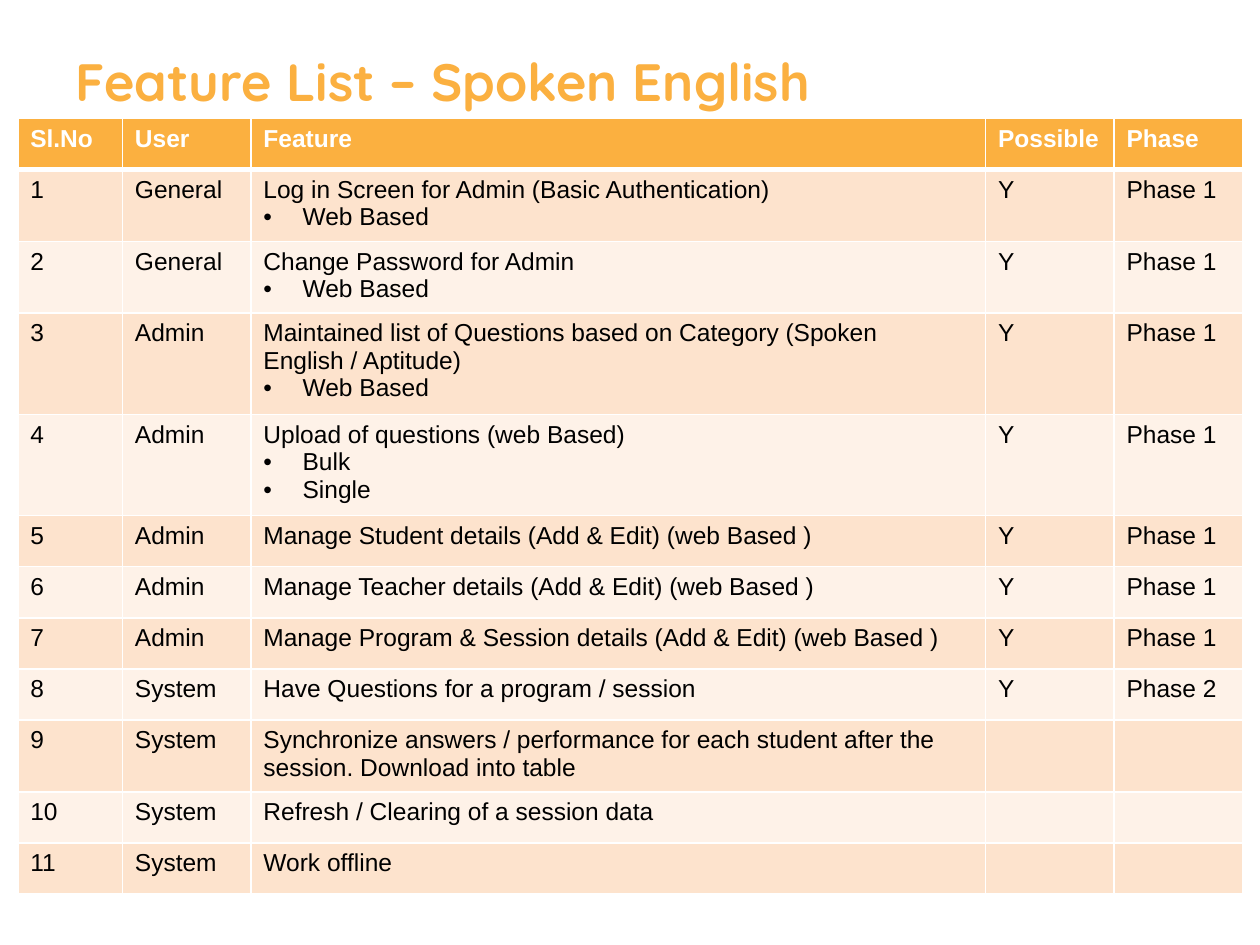
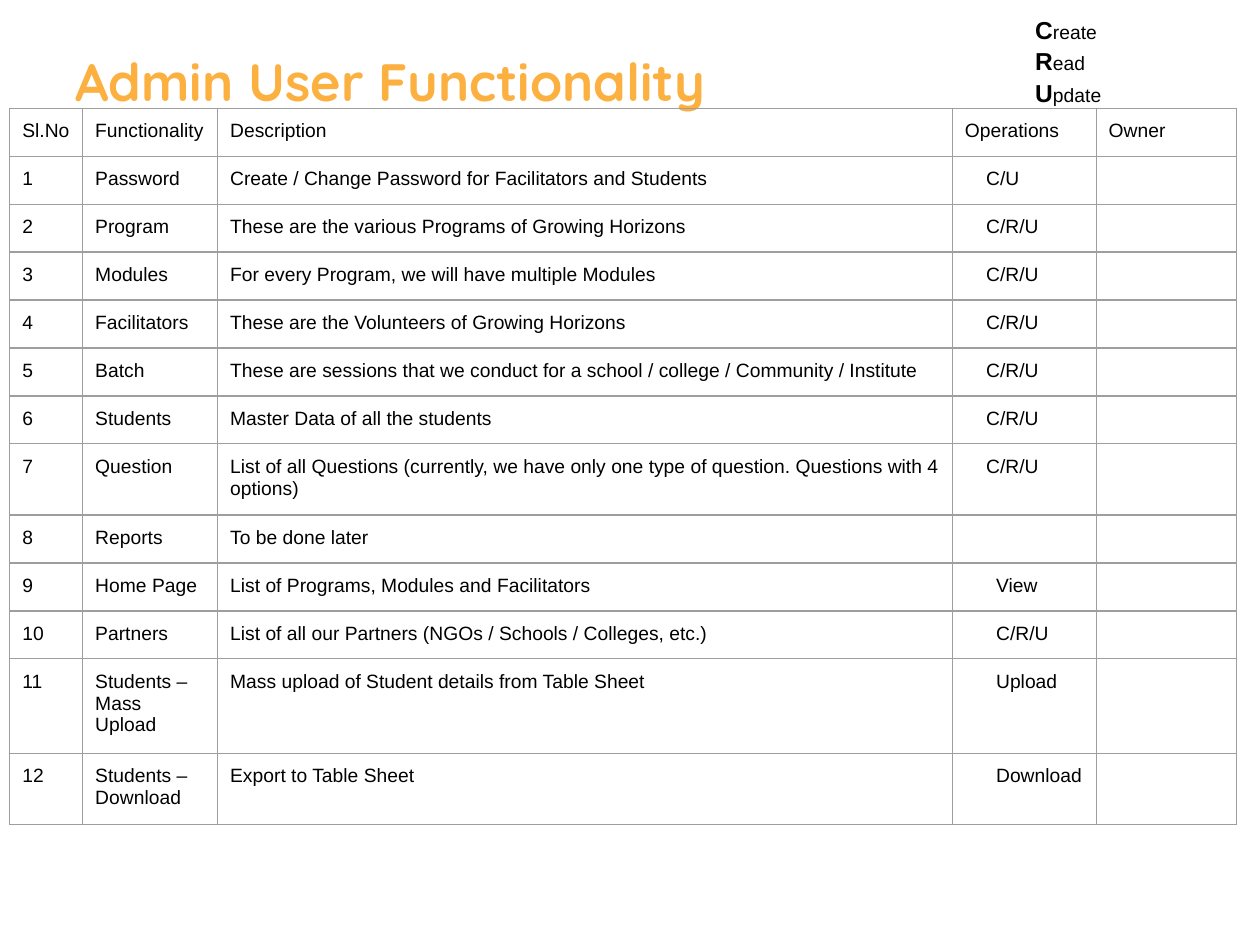
from dataclasses import dataclass
from typing import Optional

from lxml.etree import SubElement
from pptx import Presentation
from pptx.dml.color import RGBColor
from pptx.enum.text import MSO_ANCHOR as Anchor, MSO_AUTO_SIZE as AutoSize
from pptx.oxml.ns import qn
from pptx.util import Cm, Pt

ORANGE = "FBB040"
WHITE = "FFFFFF"
BLACK = "000000"
GREY = "9E9E9E"
BANDS = ("FDE3CD", "FEF2E8")
BODY_FONT = "Arial"
TITLE_FONT = "Quicksand"


@dataclass(frozen=True)
class Line:
    """One paragraph of a cell, with its indents in centimetres."""
    text: str
    left: float = 0
    first: float = 0
    bullet: bool = False


@dataclass(frozen=True)
class TableStyle:
    size: float
    margin: float
    border: str
    border_width: float
    header_fill: Optional[str] = None
    header_color: str = BLACK
    header_bold: bool = False
    header_rule: Optional[float] = None
    bands: tuple[str, ...] = ()


@dataclass(frozen=True)
class TableSpec:
    left: float
    top: float
    height: float
    row_height: float
    columns: tuple[float, ...]
    rows: list
    style: TableStyle


def bullet(text: str) -> Line:
    return Line(text, 0.79, -0.79, True)


def inset(text: str) -> Line:
    return Line(text, 0.43)


def hanging(text: str) -> Line:
    return Line(text, 1.27, -0.64)


FEATURE_STYLE = TableStyle(14, 0.13, WHITE, 1, ORANGE, WHITE, True, 3, BANDS)
ADMIN_STYLE = TableStyle(11, 0.25, GREY, 0.75)

FEATURES = [
    ("Sl.No", "User", "Feature", "Possible", "Phase"),
    ("1", "General", ("Log in Screen for Admin (Basic Authentication)", bullet("Web Based")),
     "Y", "Phase 1"),
    ("2", "General", ("Change Password for Admin", bullet("Web Based")), "Y", "Phase 1"),
    ("3", "Admin",
     ("Maintained list of Questions based on Category (Spoken English / Aptitude)",
      bullet("Web Based")), "Y", "Phase 1"),
    ("4", "Admin", ("Upload of questions (web Based)", bullet("Bulk"), bullet("Single")),
     "Y", "Phase 1"),
    ("5", "Admin", "Manage Student details (Add & Edit) (web Based )", "Y", "Phase 1"),
    ("6", "Admin", "Manage Teacher details (Add & Edit) (web Based )", "Y", "Phase 1"),
    ("7", "Admin", "Manage Program & Session details (Add & Edit) (web Based )", "Y", "Phase 1"),
    ("8", "System", "Have Questions for a program / session", "Y", "Phase 2"),
    ("9", "System",
     "Synchronize answers / performance for each student after the session. Download into table",
     "", ""),
    ("10", "System", "Refresh / Clearing of a session data", "", ""),
    ("11", "System", "Work offline", "", ""),
]

FUNCTIONS = [
    ("Sl.No", "Functionality", "Description", "Operations", "Owner"),
    ("1", "Password", "Create / Change Password for Facilitators and Students",
     inset("C/U"), ""),
    ("2", "Program", "These are the various Programs of Growing Horizons", inset("C/R/U"), ""),
    ("3", "Modules", "For every Program, we will have multiple Modules", inset("C/R/U"), ""),
    ("4", "Facilitators", "These are the Volunteers of Growing Horizons", inset("C/R/U"), ""),
    ("5", "Batch",
     "These are sessions that we conduct for a school / college / Community / Institute",
     inset("C/R/U"), ""),
    ("6", "Students", "Master Data of all the students", inset("C/R/U"), ""),
    ("7", "Question",
     "List of all Questions (currently, we have only one type of question. "
     "Questions with 4 options)", inset("C/R/U"), ""),
    ("8", "Reports", "To be done later", "", ""),
    ("9", "Home Page", "List of Programs, Modules and Facilitators", hanging("View"), ""),
    ("10", "Partners", "List of all our Partners (NGOs / Schools / Colleges, etc.)",
     hanging("C/R/U"), ""),
    ("11", "Students – Mass Upload", "Mass upload of Student details from Table Sheet",
     hanging("Upload"), ""),
    ("12", "Students – Download", "Export to Table Sheet", hanging("Download"), ""),
]

FEATURE_TABLE = TableSpec(0.36, 2.39, 16, 1.03, (2.11, 2.59, 14.81, 2.59, 2.59),
                          FEATURES, FEATURE_STYLE)
ADMIN_TABLE = TableSpec(0.2, 2.18, 14.53, 0.81, (1.47, 2.72, 14.81, 2.9, 2.82),
                        FUNCTIONS, ADMIN_STYLE)
OPERATIONS = ("Create", "Read", "Update")


def rgb(color: str) -> RGBColor:
    return RGBColor.from_string(color)


def add_span(para, text: str, size: float, color: str = BLACK, bold: bool = False,
             font: str = BODY_FONT) -> None:
    span = para.add_run()
    span.text = text
    span.font.name = font
    span.font.size = Pt(size)
    span.font.bold = bold
    span.font.color.rgb = rgb(color)


def add_title(page, text: str) -> None:
    box = page.shapes.add_textbox(Cm(1.27), Cm(0.74), Cm(22.86), Cm(1.75))
    frame = box.text_frame
    frame.word_wrap = True
    frame.vertical_anchor = Anchor.MIDDLE
    add_span(frame.paragraphs[0], text, 30, ORANGE, True, TITLE_FONT)


def set_border(cell, side: str, color: str, width: float) -> None:
    line = SubElement(cell._tc.get_or_add_tcPr(), qn(f"a:ln{side}"), w=str(Pt(width)))
    fill = SubElement(line, qn("a:solidFill"))
    SubElement(fill, qn("a:srgbClr"), val=color)


def set_indent(para, line: Line) -> None:
    properties = para._p.get_or_add_pPr()
    properties.set("marL", str(Cm(line.left)))
    properties.set("indent", str(Cm(line.first)))
    if line.bullet:
        SubElement(properties, qn("a:buFont"), typeface=BODY_FONT)
        SubElement(properties, qn("a:buChar"), char="•")


def fill_cell(cell, content, style: TableStyle, row: int) -> None:
    """Write text, indents, borders and fill; content is a str, a Line or a tuple of them."""
    header = row == 0
    cell.margin_left = cell.margin_right = Cm(0.25)
    cell.margin_top = cell.margin_bottom = Cm(style.margin)
    color = style.header_color if header else BLACK
    frame = cell.text_frame
    for index, item in enumerate(content if isinstance(content, tuple) else (content,)):
        line = item if isinstance(item, Line) else Line(item)
        para = frame.add_paragraph() if index else frame.paragraphs[0]
        set_indent(para, line)
        if line.text:
            add_span(para, line.text, style.size, color, header and style.header_bold)
        else:
            SubElement(para._p, qn("a:endParaRPr"), sz=str(int(style.size * 100)))

    rule = style.header_rule or style.border_width
    for side in "LRTB":
        on_rule = (header and side == "B") or (row == 1 and side == "T")
        set_border(cell, side, style.border, rule if on_rule else style.border_width)

    if header:
        fill = style.header_fill
    else:
        fill = style.bands[(row - 1) % len(style.bands)] if style.bands else None
    if fill:
        cell.fill.solid()
        cell.fill.fore_color.rgb = rgb(fill)
    else:
        cell.fill.background()


def add_grid(page, spec: TableSpec) -> None:
    holder = page.shapes.add_table(len(spec.rows), len(spec.columns), Cm(spec.left),
                                   Cm(spec.top), Cm(sum(spec.columns)), Cm(spec.height))
    table = holder.table
    table.first_row = table.horz_banding = False
    for column, width in zip(table.columns, spec.columns):
        column.width = Cm(width)
    for index, contents in enumerate(spec.rows):
        table.rows[index].height = Cm(spec.row_height)
        for cell, content in zip(table.rows[index].cells, contents):
            fill_cell(cell, content, spec.style, index)
    holder.height = Cm(spec.height)


def add_operations_key(page) -> None:
    box = page.shapes.add_textbox(Cm(20.62), Cm(0.13), Cm(1.85), Cm(2.06))
    frame = box.text_frame
    frame.word_wrap = False
    frame.auto_size = AutoSize.SHAPE_TO_FIT_TEXT
    for index, word in enumerate(OPERATIONS):
        para = frame.add_paragraph() if index else frame.paragraphs[0]
        para.line_spacing = 1.07
        add_span(para, word[0], 14, bold=True)
        add_span(para, word[1:], 11)


def add_page(deck, title: str, spec: TableSpec):
    page = deck.slides.add_slide(deck.slide_layouts[6])
    page.background.fill.solid()
    page.background.fill.fore_color.rgb = rgb(WHITE)
    add_title(page, title)
    add_grid(page, spec)
    return page


def main() -> None:
    deck = Presentation()
    deck.slide_width, deck.slide_height = Cm(25.4), Cm(19.05)
    add_page(deck, "Feature List – Spoken English", FEATURE_TABLE)
    admin_page = add_page(deck, "Admin User Functionality", ADMIN_TABLE)
    add_operations_key(admin_page)
    deck.save("out.pptx")


if __name__ == "__main__":
    main()
